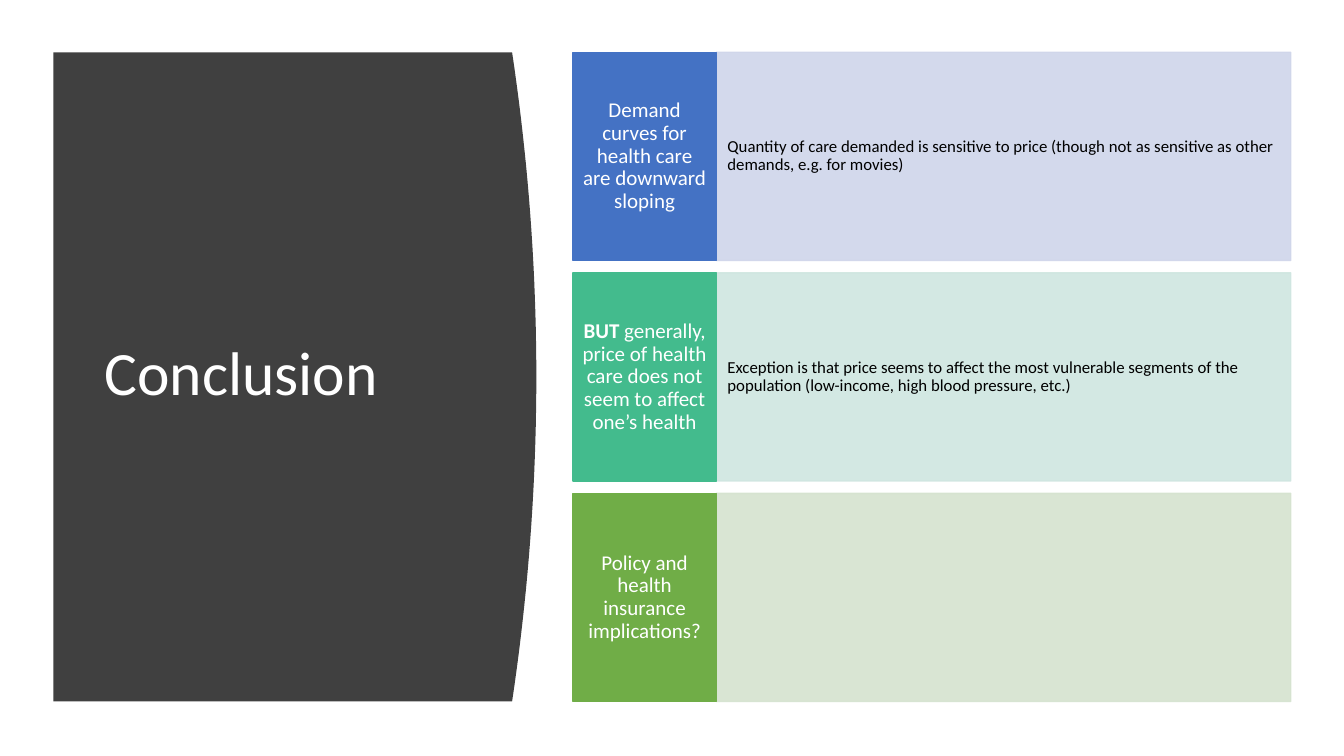
from lxml import etree
from pptx import Presentation
from pptx.dml.color import RGBColor
from pptx.enum import shapes, text
from pptx.oxml.ns import qn
from pptx.util import Pt

TITLE = "Conclusion"
# heading runs (text, bold), detail, heading colour, detail colour
ROWS = [
    ([("Demand curves for health care are downward sloping", False)],
     "Quantity of care demanded is sensitive to price "
     "(though not as sensitive as other demands, e.g. for movies)",
     "4472C4", "CFD5EA"),
    ([("BUT", True),
      (" generally, price of health care does not seem to affect one\u2019s health", False)],
     "Exception is that price seems to affect the most vulnerable segments "
     "of the population (low-income, high blood pressure, etc.)",
     "43BB8D", "CFE6E0"),
    ([("Policy and health insurance implications?", False)], "",
     "70AD47", "D5E3CF"),
]
TOP, HEIGHT, GAP = 37.4, 463.7, 8.8
ROW_HEIGHT = (HEIGHT - GAP * (len(ROWS) - 1)) / len(ROWS)
HEAD_LEFT, HEAD_WIDTH, DETAIL_WIDTH = 409.2, 102.5, 410.3
PANEL_LEFT, PANEL_EDGE, PANEL_BULGE, CURVE_STEPS = 38.2, 365.8, 17.3, 40


def color(code):
    """Turn a hex string into a colour."""
    return RGBColor.from_string(code)


def paint(shape, code, line=True, opacity=100):
    """Fill and outline a shape in one colour, without shadow."""
    shape.shadow.inherit = False
    formats = [shape.fill]
    if line:
        shape.line.width = Pt(1)
        formats.append(shape.line.fill)
    else:
        shape.line.fill.background()
    for fill in formats:
        fill.solid()
        fill.fore_color.rgb = color(code)
    if opacity < 100:
        for tint in shape.element.spPr.iter(qn("a:srgbClr")):
            etree.SubElement(tint, qn("a:alpha"), val=str(opacity * 1000))


def write(shape, runs, size, code="FFFFFF", align="LEFT", inset=(7.2, 3.6)):
    """Write (text, bold) runs, vertically centred, into a shape."""
    frame = shape.text_frame
    frame.word_wrap = True
    frame.vertical_anchor = text.MSO_ANCHOR.MIDDLE
    frame.margin_left = frame.margin_right = Pt(inset[0])
    frame.margin_top = frame.margin_bottom = Pt(inset[1])
    para = frame.paragraphs[0]
    para.alignment = getattr(text.PP_ALIGN, align)
    para.line_spacing = 0.9
    for words, bold in runs:
        span = para.add_run()
        span.text = words
        span.font.name, span.font.size, span.font.bold = "Calibri", Pt(size), bold
        span.font.color.rgb = color(code)


def add_block(page, left, top, width, code, opacity=100):
    """Add one coloured rectangle of a row."""
    box = page.shapes.add_shape(shapes.MSO_SHAPE.RECTANGLE,
                                Pt(left), Pt(top), Pt(width), Pt(ROW_HEIGHT))
    paint(box, code, opacity=opacity)
    return box


def add_panel(page):
    """Add the dark panel whose right side bulges as a parabola."""
    curve = []
    for step in range(CURVE_STEPS + 1):
        offset = 2 * step / CURVE_STEPS - 1
        curve.append((Pt(PANEL_EDGE + PANEL_BULGE * (1 - offset ** 2)),
                      Pt(TOP + HEIGHT * step / CURVE_STEPS)))
    builder = page.shapes.build_freeform(Pt(PANEL_LEFT), Pt(TOP))
    builder.add_line_segments(curve + [(Pt(PANEL_LEFT), Pt(TOP + HEIGHT))], close=True)
    paint(builder.convert_to_shape(), "404040", line=False)


deck = Presentation()
deck.slide_width, deck.slide_height = Pt(960), Pt(540)
page = deck.slides.add_slide(deck.slide_layouts[6])

add_panel(page)
title = page.shapes.add_textbox(Pt(67.7), Pt(79.9), Pt(269.3), Pt(377.3))
write(title, [(TITLE, False)], 44)

for index, (heading, detail, head_color, detail_color) in enumerate(ROWS):
    top = TOP + index * (ROW_HEIGHT + GAP)
    detail_box = add_block(page, HEAD_LEFT + HEAD_WIDTH, top, DETAIL_WIDTH,
                           detail_color, opacity=90)
    if detail:
        write(detail_box, [(detail, False)], 12, "000000", inset=(7.9, 37.4))
    head_box = add_block(page, HEAD_LEFT, top, HEAD_WIDTH, head_color)
    write(head_box, heading, 15, align="CENTER", inset=(5.8, 14.4))

deck.save("out.pptx")
